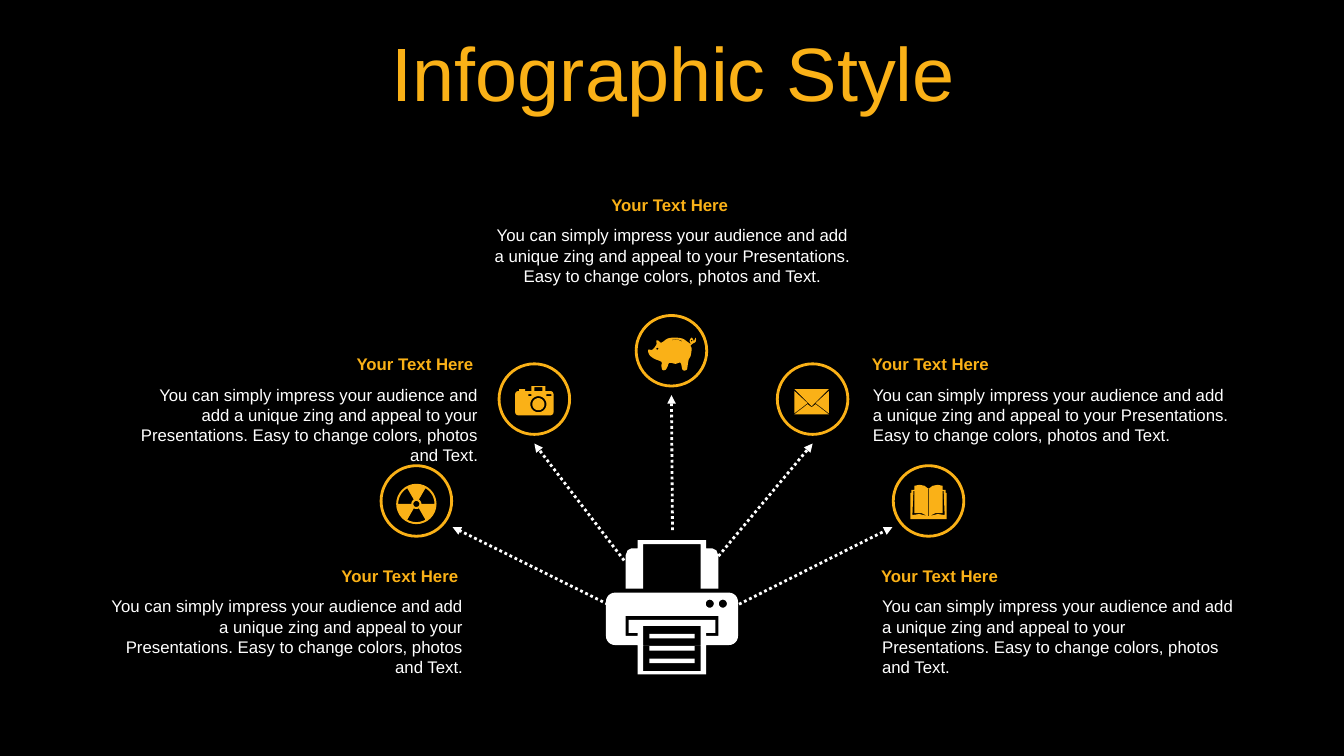
from dataclasses import dataclass
from math import cos, radians, sin

from lxml.etree import SubElement
from pptx import Presentation
from pptx.dml.color import RGBColor
from pptx.enum.dml import MSO_LINE
from pptx.enum.shapes import MSO_CONNECTOR, MSO_SHAPE
from pptx.enum.text import MSO_ANCHOR, PP_ALIGN
from pptx.oxml.ns import qn
from pptx.util import Inches, Pt


@dataclass(frozen=True)
class Theme:
    font: str = "Arial"
    background: RGBColor = RGBColor(0x00, 0x00, 0x00)
    accent: RGBColor = RGBColor(0xFA, 0xB1, 0x17)
    light: RGBColor = RGBColor(0xFF, 0xFF, 0xFF)
    title_size: int = 54
    text_size: int = 12
    line_width: int = 2


# Icon outlines: units are hundredths of an inch from the icon's anchor.
def box(left, top, right, bottom):
    return [(left, top), (right, top), (right, bottom), (left, bottom)]


def arc(x, y, radius, start, end, steps=16):
    angles = [radians(start + (end - start) * i / steps) for i in range(steps + 1)]
    return [(x + radius * cos(a), y + radius * sin(a)) for a in angles]


def disc(x, y, radius):
    return arc(x, y, radius, 0, 360, 32)


def sector(x, y, inner, outer, start):
    return arc(x, y, outer, start, start + 60) + arc(x, y, inner, start + 60, start)


def rounded(left, top, right, bottom, r):
    corners = [(right - r, bottom - r), (left + r, bottom - r),
               (left + r, top + r), (right - r, top + r)]
    return [point for i, (x, y) in enumerate(corners)
            for point in arc(x, y, r, 90 * i, 90 * i + 90, 6)]


def mirror(points):
    return [(-x, y) for x, y in points]


def symmetric(right_half):
    return right_half + mirror(right_half)[::-1]


def smooth(points, steps=4):
    """Pass a closed Catmull-Rom curve through the points."""
    curve = []
    for i in range(len(points)):
        a, b, c, d = (points[(i + k) % len(points)] for k in (-1, 0, 1, 2))
        for t in (s / steps for s in range(steps)):
            curve.append(tuple(
                (2 * q + (r - p) * t + (2 * p - 5 * q + 4 * r - s) * t ** 2
                 + (3 * q - p - 3 * r + s) * t ** 3) / 2
                for p, q, r, s in zip(a, b, c, d)))
    return curve


page_slit = [(14, -10), (15, -10), (16, 14), (9, 13), (1, 15), (7, 12), (14, 12)]
BOOK = [
    symmetric([(0, -12), (4, -15), (9, -16), (14, -15), (14, -11), (17, -11),
               (17, -8), (18, -8), (18, 18)]),
    page_slit, mirror(page_slit), box(-0.3, -12, 0.3, 15),
]
ENVELOPE = [
    [(3, 5), (16, 15), (-18, 15), (-5, 5), (-1, 8)],
    [(16, -8), (16, 14), (3, 4)],
    [(-18, -8), (-5, 4), (-18, 14)],
    [(-18, -10), (16, -10), (-1, 7)],
]
CAMERA = [
    rounded(-19, -8, 19, 16, 3), box(-15, -10, -9, -8),
    [(-3, -8), (-3, -13), (11, -13), (11, -8), (8, -8), (8, -12), (0, -12), (0, -8)],
    disc(4, 5, 8), disc(4, 5, 6), box(-6, -5, -3, -3), box(12, -5, 17, -3),
]
RADIATION = [disc(0, 3, 20), disc(0, 3, 3)] + [
    sector(0, 3, 5, 18, start) for start in (60, 180, 300)]
PIG = [
    smooth([(3, -13), (11, -12), (17, -8), (19, -7), (18, -10), (20, -13), (22, -10),
            (22, -9), (24, -13), (24, -9), (21, -7), (19, -5), (20, -2), (19, 5),
            (17, 9), (16, 15), (15, 19), (11, 19), (9, 12), (4, 13), (-2, 12),
            (-4, 16), (-6, 19), (-9, 19), (-10, 15), (-10, 11), (-17, 8), (-22, 4),
            (-23, -1), (-19, -1), (-15, -6), (-15, -10), (-13, -10), (-10, -8),
            (-4, -12)]),
    disc(-14, -2, 1), disc(20, -10, 0.8),
    [(-2, -9), (1, -10.5), (4, -11), (7, -10.5), (10, -9),
     (10, -10), (7, -11), (4, -11.5), (1, -11)],
]
PRINTER = [
    symmetric([(34, 0), (34, 8), (40, 8), (44, 10), (46, 15), (46, 48),
               (28.5, 48), (28.5, 4)]),
    rounded(-65.5, 52, 65.5, 104, 9), box(-34, 104, 34, 133),
    symmetric([(46, 75), (46, 95), (34, 95), (34, 92), (43, 92), (43, 79)]),
    box(-28.5, 85, 28.5, 130), disc(37.5, 63, 4), disc(50.5, 63, 4),
] + [box(-22.5, top, 22.5, top + 4.5) for top in (93, 105, 117.5)]


class Canvas:
    """Draws on one slide; positions are columns and rows of a 0.1 inch grid."""
    cell = Inches(0.1)

    def __init__(self, slide, theme):
        self.slide, self.theme = slide, theme
        slide.background.fill.solid()
        slide.background.fill.fore_color.rgb = theme.background

    def grid(self, *lengths):
        return [round(length * self.cell) for length in lengths]

    def text(self, wording, area, size, color, align, bold=False):
        frame = self.slide.shapes.add_textbox(*self.grid(*area)).text_frame
        frame.word_wrap = True
        paragraph = frame.paragraphs[0]
        paragraph.text, paragraph.alignment = wording, align
        font = paragraph.font
        font.name, font.size, font.bold = self.theme.font, Pt(size), bold
        font.color.rgb = color
        return frame

    def title(self, wording, area):
        frame = self.text(wording, area, self.theme.title_size,
                          self.theme.accent, PP_ALIGN.CENTER)
        frame.vertical_anchor = MSO_ANCHOR.MIDDLE
        frame.paragraphs[0].line_spacing = 0.9
        frame.paragraphs[0].space_before = Pt(10)

    def message(self, left, top, width, align):
        size = self.theme.text_size
        self.text(HEADING, (left, top, width - 0.35, 3), size,
                  self.theme.accent, align, bold=True)
        self.text(BODY, (left + 0.1, top + 3.05, width, 7.1), size,
                  self.theme.light, align)

    def ring(self, x, y, size=7):
        ring = self.slide.shapes.add_shape(
            MSO_SHAPE.OVAL, *self.grid(x - size / 2, y - size / 2, size, size))
        ring.shadow.inherit = False
        ring.fill.background()
        ring.line.color.rgb = self.theme.accent
        ring.line.width = Pt(self.theme.line_width)

    def icon(self, x, y, contours, color):
        outlines = [[self.grid(x + dx / 10, y + dy / 10) for dx, dy in contour]
                    for contour in contours]
        builder = self.slide.shapes.build_freeform(*outlines[0][0])
        for i, outline in enumerate(outlines):
            if i:
                builder.move_to(*outline[0])
            builder.add_line_segments(outline[1:], close=True)
        icon = builder.convert_to_shape()
        icon.shadow.inherit = False
        icon.fill.solid()
        icon.fill.fore_color.rgb = color
        icon.line.fill.background()

    def arrow(self, start, end):
        arrow = self.slide.shapes.add_connector(
            MSO_CONNECTOR.STRAIGHT, *self.grid(*start, *end))
        arrow.line.color.rgb = self.theme.light
        arrow.line.width = Pt(self.theme.line_width)
        arrow.line.dash_style = MSO_LINE.ROUND_DOT
        SubElement(arrow.line._get_or_add_ln(), qn("a:tailEnd"), type="triangle")
        SubElement(arrow._element.spPr, qn("a:effectLst"))


HEADING = "Your Text Here"
BODY = ("You can simply impress your audience and add a unique zing and appeal "
        "to your Presentations. Easy to change colors, photos and Text.")
# ring centre, icon, message (left, top, width, alignment), arrow start, arrow end
TOPICS = [
    ((41.3, 49.7), RADIATION, (9.6, 55.6, 37.2, PP_ALIGN.RIGHT), (61.8, 60.7), (44.9, 52.3)),
    ((53, 39.6), CAMERA, (11.5, 34.6, 36.8, PP_ALIGN.RIGHT), (61.9, 55.6), (53, 44)),
    ((66.6, 34.8), PIG, (47.9, 18.8, 37.4, PP_ALIGN.CENTER), (66.7, 52.6), (66.6, 39.2)),
    ((80.6, 39.6), ENVELOPE, (85.5, 34.6, 37.7, PP_ALIGN.LEFT), (70.9, 55.6), (80.6, 44)),
    ((92.1, 49.7), BOOK, (86.4, 55.6, 37.2, PP_ALIGN.LEFT), (71.8, 60.7), (88.5, 52.3)),
]


def main():
    deck = Presentation()
    deck.slide_width, deck.slide_height = Inches(13.33), Inches(7.5)
    theme = Theme()
    canvas = Canvas(deck.slides.add_slide(deck.slide_layouts[6]), theme)
    canvas.title("Infographic Style", (3.5, 3.7, 126.6, 7.9))
    for centre, contours, message, start, end in TOPICS:
        canvas.ring(*centre)
        canvas.icon(*centre, contours, theme.accent)
        canvas.message(*message)
        canvas.arrow(start, end)
    canvas.icon(66.65, 53.6, PRINTER, theme.light)
    deck.save("out.pptx")


if __name__ == "__main__":
    main()
